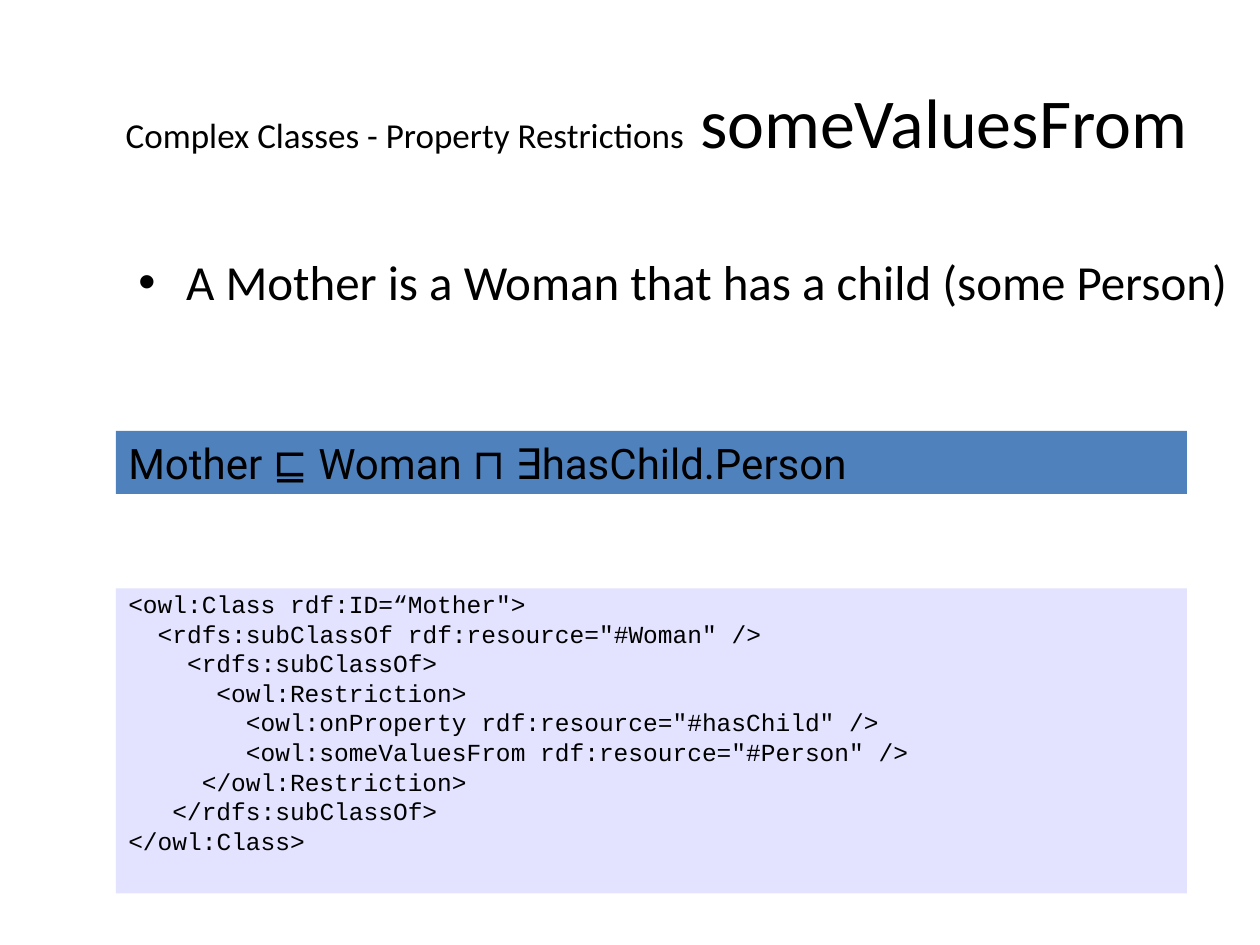
from dataclasses import dataclass

from pptx import Presentation
from pptx.dml.color import RGBColor
from pptx.enum import shapes, text
from pptx.oxml import parse_xml
from pptx.oxml.ns import nsdecls
from pptx.util import Inches, Pt

COLORS = {"text": "000000", "axiom": "4F81BD", "code": "E3E3FF"}
CODE_SIZE = 14
CODE_CHARACTER_WIDTH = CODE_SIZE * 0.6 / 72


@dataclass(frozen=True)
class Run:
    wording: str
    size: float
    font: str = "Calibri"


@dataclass(frozen=True)
class Line:
    runs: tuple[Run, ...]
    formats: dict
    margin: float = 0
    bullet: str = ""


@dataclass(frozen=True)
class Panel:
    left: float
    top: float
    width: float
    height: float
    lines: tuple[Line, ...]
    formats: dict
    fill: str = ""


def apply_formats(target, formats: dict) -> None:
    for name, value in formats.items():
        setattr(target, name, value)


def write_line(paragraph, line: Line) -> None:
    apply_formats(paragraph, line.formats)
    properties = paragraph._p.get_or_add_pPr()
    properties.set("marL", str(Inches(line.margin)))
    if line.bullet:
        properties.set("indent", str(-Inches(line.margin)))
        properties.append(parse_xml(f'<a:buFont {nsdecls("a")} typeface="Arial"/>'))
        properties.append(parse_xml(f'<a:buChar {nsdecls("a")} char="{line.bullet}"/>'))
    for item in line.runs:
        run = paragraph.add_run()
        run.text = item.wording
        apply_formats(run.font, {"name": item.font, "size": Pt(item.size)})
        run.font.color.rgb = RGBColor.from_string(COLORS["text"])


def draw_panel(slide, panel: Panel) -> None:
    place = [Inches(value) for value in (panel.left, panel.top, panel.width, panel.height)]
    if panel.fill:
        shape = slide.shapes.add_shape(shapes.MSO_SHAPE.RECTANGLE, *place)
        shape.shadow.inherit = False
        shape.fill.solid()
        shape.fill.fore_color.rgb = RGBColor.from_string(COLORS[panel.fill])
        shape.line.fill.background()
    else:
        shape = slide.shapes.add_textbox(*place)
    frame = shape.text_frame
    apply_formats(frame, {"word_wrap": True, **panel.formats})
    for index, line in enumerate(panel.lines):
        paragraph = frame.add_paragraph() if index else frame.paragraphs[0]
        write_line(paragraph, line)


TOP = {"vertical_anchor": text.MSO_ANCHOR.TOP}
MIDDLE = {"vertical_anchor": text.MSO_ANCHOR.MIDDLE}
LEFT = {"alignment": text.PP_ALIGN.LEFT}
CENTER = {"alignment": text.PP_ALIGN.CENTER}
CODE_FORMAT = {**LEFT, "line_spacing": 0.8, "space_before": Pt(3.5)}
BULLET_FORMAT = {**LEFT, "line_spacing": 0.9, "space_before": Pt(6.5)}

CODE = (
    (0, '<owl:Class rdf:ID=“Mother">'),
    (2, '<rdfs:subClassOf rdf:resource="#Woman" />'),
    (4, "<rdfs:subClassOf>"),
    (6, "<owl:Restriction>"),
    (8, '<owl:onProperty rdf:resource="#hasChild" />'),
    (8, '<owl:someValuesFrom rdf:resource="#Person" />'),
    (5, "</owl:Restriction>"),
    (3, "</rdfs:subClassOf>"),
    (0, "</owl:Class>"),
)

TITLE_LINE = Line(
    (Run("Complex Classes - Property Restrictions", 20), Run(" someValuesFrom", 40)), CENTER
)
CODE_LINES = tuple(
    Line((Run(wording, CODE_SIZE, "Courier New"),), CODE_FORMAT, depth * CODE_CHARACTER_WIDTH)
    for depth, wording in CODE
)
BULLET_LINE = Line(
    (Run("A Mother is a Woman that has a child (some Person)", 28),), BULLET_FORMAT, 0.38, "•"
)
AXIOM_LINE = Line((Run("Mother ⊑ Woman ⊓ ∃hasChild.Person", 24, "Roboto"),), LEFT)

PANELS = (
    Panel(0.75, 0.33, 8.92, 1.25, (TITLE_LINE,), MIDDLE),
    Panel(0.92, 4.67, 8.5, 2.42, CODE_LINES, TOP, "code"),
    Panel(1, 2, 8.83, 5.67, (BULLET_LINE,), {**TOP, "margin_right": Inches(0)}),
    Panel(
        0.92, 3.42, 8.5, 0.5, (AXIOM_LINE,),
        {**TOP, "auto_size": text.MSO_AUTO_SIZE.SHAPE_TO_FIT_TEXT}, "axiom",
    ),
)


def main() -> None:
    presentation = Presentation()
    apply_formats(presentation, {"slide_width": Inches(10), "slide_height": Inches(7.5)})
    slide = presentation.slides.add_slide(presentation.slide_layouts[6])
    for panel in PANELS:
        draw_panel(slide, panel)
    presentation.save("out.pptx")


if __name__ == "__main__":
    main()
